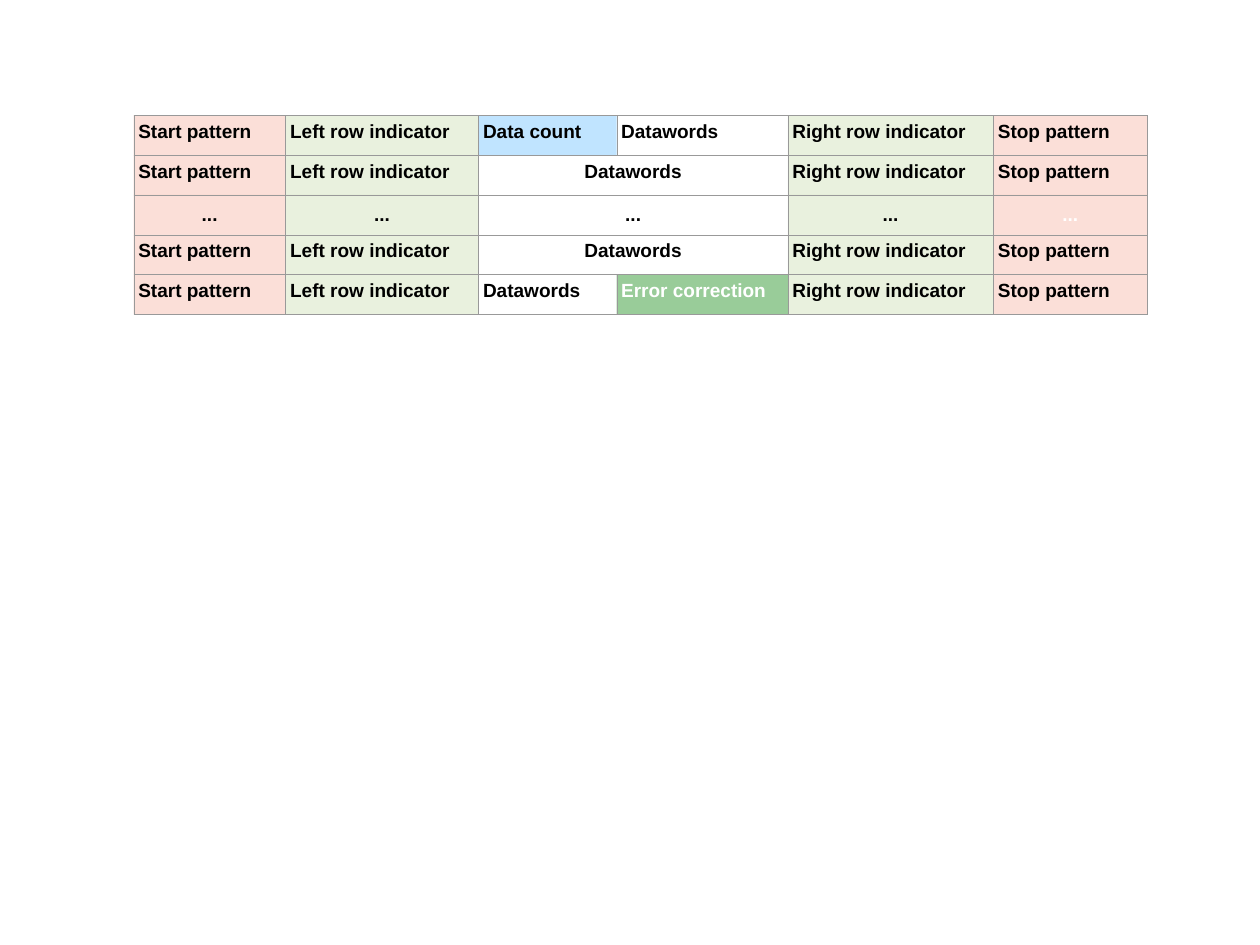
from lxml.etree import SubElement
from pptx import Presentation
from pptx.dml.color import RGBColor
from pptx.enum.text import MSO_ANCHOR, PP_ALIGN
from pptx.oxml.ns import qn
from pptx.util import Inches, Pt

BLACK, WHITE, GREY = "000000", "FFFFFF", "999999"
CM_PER_INCH = 2.54
# Fills as colour and opacity in percent
PATTERN_FILL = ("EB613D", 20)
INDICATOR_FILL = ("94BD5E", 20)
COUNT_FILL = ("83CAFF", 50)
CORRECTION_FILL = ("008000", 40)

COLUMN_WIDTHS = [1.33, 1.69, 1.21, 1.5, 1.8, 1.35]
COLUMN_FILLS = [PATTERN_FILL, INDICATOR_FILL, None, None, INDICATOR_FILL, PATTERN_FILL]
# Middle cells of each row; a single entry spans both columns
MIDDLE_CELLS = [
    ["Data count", "Datawords"],
    ["Datawords"],
    ["..."],
    ["Datawords"],
    ["Datawords", "Error correction"],
]
SPECIAL_FILLS = {"Data count": COUNT_FILL, "Error correction": CORRECTION_FILL}


def rgb(value):
    return RGBColor.from_string(value)


def set_fill(cell, fill):
    if fill is None:
        cell.fill.background()
        return
    color, opacity = fill
    cell.fill.solid()
    cell.fill.fore_color.rgb = rgb(color)
    color_element = cell._tc.tcPr.find(f"{qn('a:solidFill')}/{qn('a:srgbClr')}")
    SubElement(color_element, qn("a:alpha"), val=str(opacity * 1000))


def set_borders(cell, color, width):
    properties = cell._tc.get_or_add_tcPr()
    for index, side in enumerate(["lnL", "lnR", "lnT", "lnB"]):
        line = SubElement(properties, qn(f"a:{side}"), w=str(Pt(width)))
        solid = SubElement(line, qn("a:solidFill"))
        SubElement(solid, qn("a:srgbClr"), val=color)
        properties.insert(index, line)


def write_text(cell, text, color=BLACK, size=12, align=PP_ALIGN.LEFT, anchor=MSO_ANCHOR.TOP):
    cell.vertical_anchor = anchor
    paragraph = cell.text_frame.paragraphs[0]
    paragraph.alignment = align
    run = paragraph.add_run()
    run.text = text
    run.font.name = "Arial"
    run.font.size = Pt(size)
    run.font.bold = True
    run.font.color.rgb = rgb(color)


def row_texts(middle):
    if middle == ["..."]:
        left, right = ["...", "..."], ["...", "..."]
    else:
        left = ["Start pattern", "Left row indicator"]
        right = ["Right row indicator", "Stop pattern"]
    padding = [None] * (2 - len(middle))
    return left + middle + padding + right


def add_symbol_table(slide, left, top, width, height):
    row_count, column_count = len(MIDDLE_CELLS), len(COLUMN_WIDTHS)
    table = slide.shapes.add_table(
        row_count, column_count, Inches(left), Inches(top),
        Inches(width), Inches(height)).table
    table.first_row = table.horz_banding = False
    scale = width / sum(COLUMN_WIDTHS)
    for column, column_width in zip(table.columns, COLUMN_WIDTHS):
        column.width = Inches(column_width * scale)

    for row, middle in enumerate(MIDDLE_CELLS):
        table.rows[row].height = Inches(height / row_count)
        if len(middle) == 1:
            table.cell(row, 2).merge(table.cell(row, 3))
        for column, text in enumerate(row_texts(middle)):
            cell = table.cell(row, column)
            cell.margin_left = cell.margin_right = Inches(0.04)
            cell.margin_top = cell.margin_bottom = Inches(0.05)
            set_fill(cell, SPECIAL_FILLS.get(text, COLUMN_FILLS[column]))
            set_borders(cell, GREY, 0.06)
            if text is None:
                continue
            dots = text == "..."
            centred = dots or cell.is_merge_origin
            last_dots = dots and column == column_count - 1
            write_text(
                cell, text,
                color=WHITE if last_dots or text == "Error correction" else BLACK,
                align=PP_ALIGN.CENTER if centred else PP_ALIGN.LEFT,
                anchor=MSO_ANCHOR.MIDDLE if dots else MSO_ANCHOR.TOP)


def main():
    presentation = Presentation()
    # Page of 28 by 21 cm
    presentation.slide_width = Inches(28 / CM_PER_INCH)
    presentation.slide_height = Inches(21 / CM_PER_INCH)
    slide = presentation.slides.add_slide(presentation.slide_layouts[6])
    add_symbol_table(slide, 1.17, 1.01, 8.87, 1.74)
    presentation.save("out.pptx")


if __name__ == "__main__":
    main()
